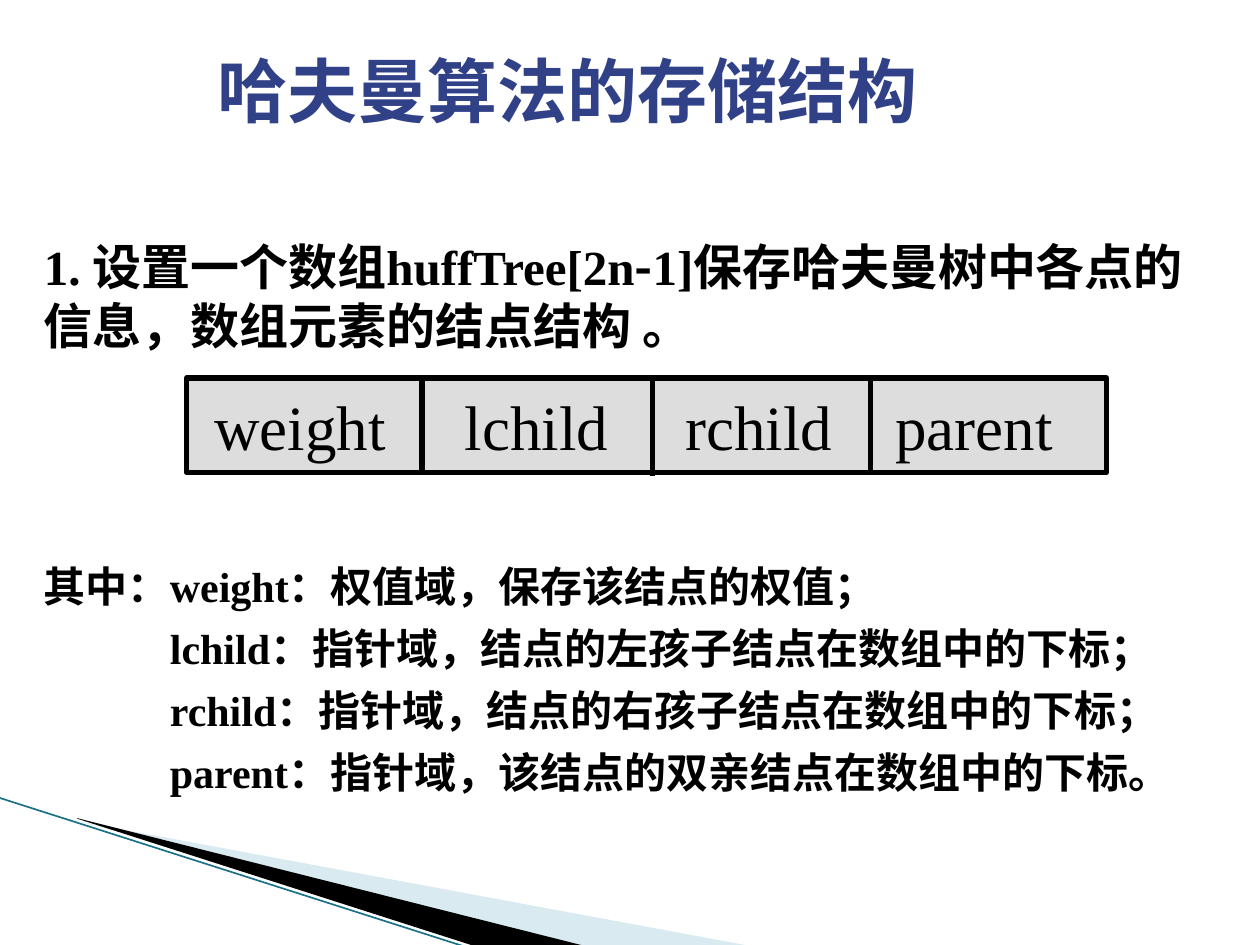
from lxml import etree
from pptx import Presentation
from pptx.dml.color import RGBColor
from pptx.enum.shapes import MSO_CONNECTOR, MSO_SHAPE
from pptx.enum.text import MSO_ANCHOR, PP_ALIGN
from pptx.oxml.ns import qn
from pptx.util import Pt

STRAIGHT = MSO_CONNECTOR.STRAIGHT
RECTANGLE = MSO_SHAPE.RECTANGLE
MIDDLE = MSO_ANCHOR.MIDDLE
LEFT = PP_ALIGN.LEFT
SERIF = "Times New Roman"
SANS = "Noto Sans CJK SC"
BLACK = "000000"


def color(hex_code):
    return RGBColor.from_string(hex_code)


class SlideBuilder:
    def __init__(self, slide):
        self.slide = slide

    def polygon(self, points, fill, opacity=100):
        start, *rest = [(Pt(x), Pt(y)) for x, y in points]
        outline = self.slide.shapes.build_freeform(*start)
        outline.add_line_segments(rest)
        shape = outline.convert_to_shape()
        shape.shadow.inherit = False
        shape.fill.solid()
        shape.fill.fore_color.rgb = color(fill)
        shape.line.fill.background()
        if opacity < 100:
            tint = shape.fill._xPr.find(qn("a:solidFill"))[0]
            etree.SubElement(tint, qn("a:alpha"), val=str(opacity * 1000))

    def line(self, x1, y1, x2, y2, stroke=BLACK, weight=3):
        connector = self.slide.shapes.add_connector(
            STRAIGHT, Pt(x1), Pt(y1), Pt(x2), Pt(y2))
        connector.line.color.rgb = color(stroke)
        connector.line.width = Pt(weight)
        etree.SubElement(connector._element.spPr, qn("a:effectLst"))

    def run(self, paragraph, content, size, ink=BLACK, bold=True, latin=SERIF):
        run = paragraph.add_run()
        run.text = content
        run.font.size = Pt(size)
        run.font.bold = bold
        run.font.color.rgb = color(ink)
        run.font.name = latin
        etree.SubElement(run.font._element, qn("a:ea"), typeface=SANS)

    def text(self, x, y, w, h, paragraphs, size, ink=BLACK, gap=0, indent=0):
        frame = self.slide.shapes.add_textbox(Pt(x), Pt(y), Pt(w), Pt(h)).text_frame
        frame.word_wrap = True
        for index, runs in enumerate(paragraphs):
            paragraph = frame.add_paragraph() if index else frame.paragraphs[0]
            if index:
                paragraph.space_before = Pt(gap)
                paragraph._p.get_or_add_pPr().set("marL", str(Pt(indent)))
            for content, latin in runs:
                self.run(paragraph, content, size, ink, latin=latin)

    def record(self, x, y, w, h, fields, tabs, dividers):
        box = self.slide.shapes.add_shape(RECTANGLE, Pt(x), Pt(y), Pt(w), Pt(h))
        box.shadow.inherit = False
        box.fill.solid()
        box.fill.fore_color.rgb = color("DDDDDD")
        box.line.color.rgb = color(BLACK)
        box.line.width = Pt(3)
        frame = box.text_frame
        frame.margin_left = Pt(16)
        frame.margin_right = frame.margin_top = frame.margin_bottom = Pt(1)
        frame.vertical_anchor = MIDDLE
        paragraph = frame.paragraphs[0]
        paragraph.alignment = LEFT
        stops = etree.SubElement(paragraph._p.get_or_add_pPr(), qn("a:tabLst"))
        for position in tabs:
            etree.SubElement(stops, qn("a:tab"), pos=str(Pt(position)), algn="l")
        self.run(paragraph, "\t".join(fields), 36, bold=False)
        for divider, drop in dividers:
            self.line(divider, y + drop, divider, y + h + drop)


def main():
    deck = Presentation()
    deck.slide_width, deck.slide_height = Pt(720), Pt(540)
    page = SlideBuilder(deck.slides.add_slide(deck.slide_layouts[6]))

    page.polygon([(39.6, 468.4), (428.4, 540.5), (328.3, 540.5), (39.6, 468)],
                 "A0CBDC", 40)
    page.polygon([(44, 467.5), (334.8, 540.7), (273.6, 541.4), (44.6, 468)], BLACK)
    page.line(-0.7, 455.8, 267.1, 541.4, "1B7288", 0.95)

    page.text(18, 131.8, 684, 74, [[
        ("1. 设置一个数组huffTree[2n", SERIF),
        ("-", SANS),
        ("1]保存哈夫曼树中各", SERIF),
        ("点的信息，数组元素的结点结构", SANS),
        (" 。", SERIF),
    ]], 28)

    page.record(106.6, 216, 525.6, 54, ["weight", "lchild", "rchild", "parent"],
                [143, 269, 389], [(241.2, 0), (373, 1.8), (497.5, 0)])

    meanings = [
        "其中：weight：权值域，保存该结点的权值；",
        "lchild：指针域，结点的左孩子结点在数组中的下标；",
        "rchild：指针域，结点的右孩子结点在数组中的下标；",
        "parent：指针域，该结点的双亲结点在数组中的下标。",
    ]
    page.text(18, 317, 671, 145, [[(meaning, SERIF)] for meaning in meanings],
              24, gap=6.6, indent=72)

    page.text(117.4, 23.8, 555, 55.4, [[("哈夫曼算法的存储结构", SERIF)]], 40, "314187")

    deck.save("out.pptx")


if __name__ == "__main__":
    main()
